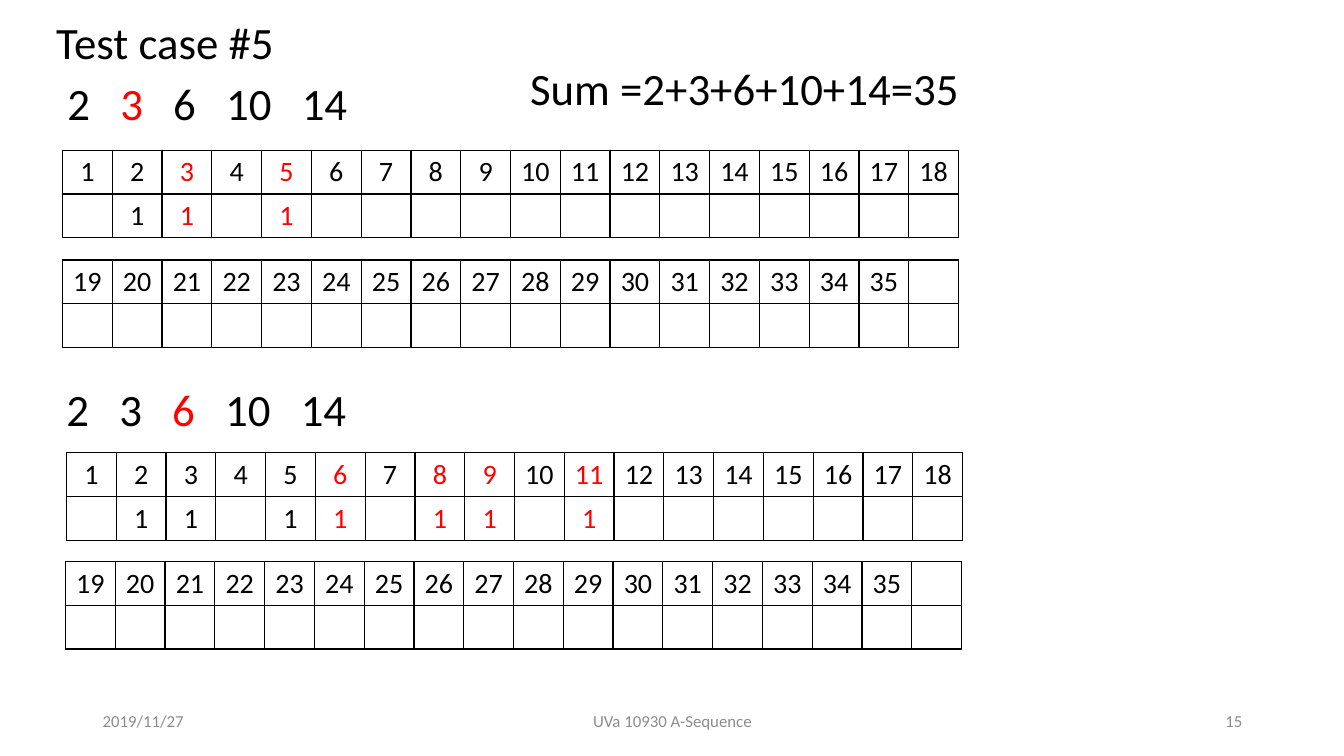
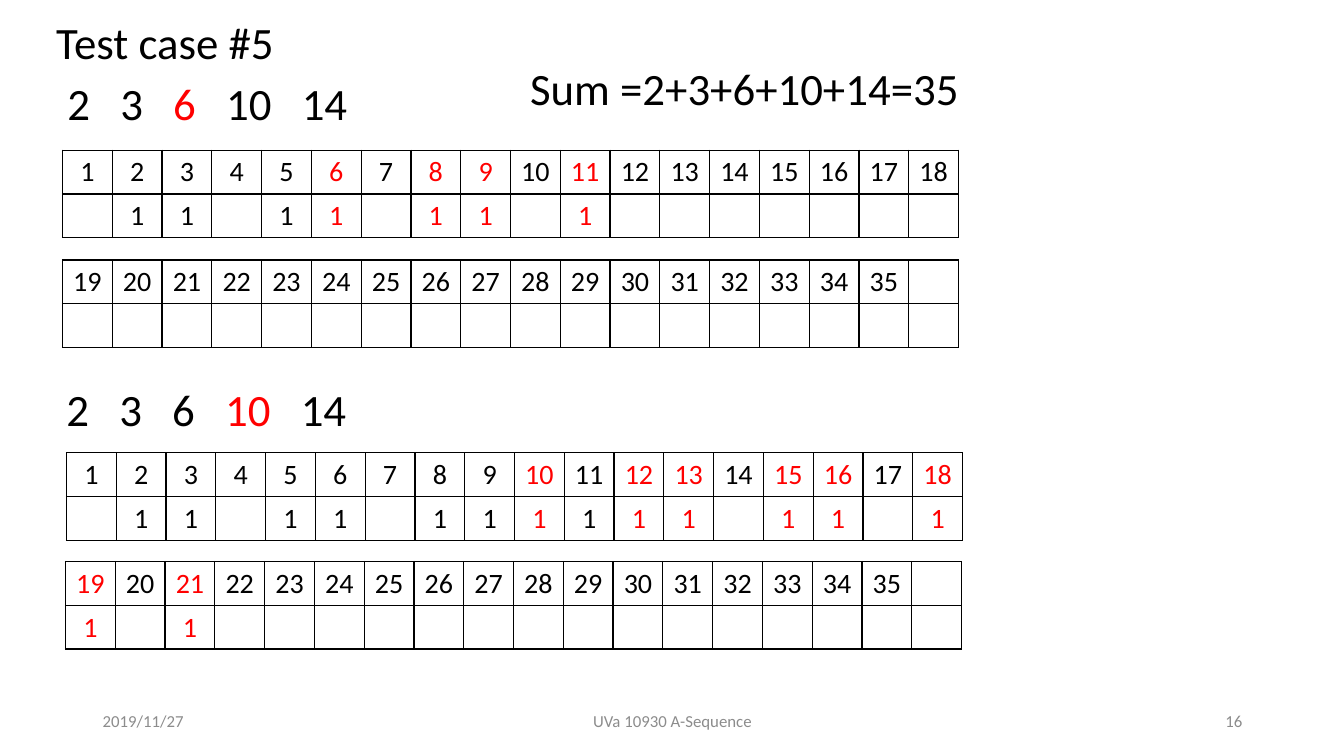
from dataclasses import dataclass

from lxml.etree import SubElement
from pptx import Presentation
from pptx.dml.color import RGBColor
from pptx.enum.text import MSO_ANCHOR as Anchor, PP_ALIGN as Align
from pptx.oxml import parse_xml
from pptx.oxml.ns import nsdecls, qn
from pptx.slide import Slide
from pptx.text.text import _Paragraph as Paragraph
from pptx.util import Inches, Pt

COLORS = {"text": "000000", "new": "FF0000", "footer": "8C8C8C", "border": "000000"}
FONT = "Calibri"
BIG, CELL, SMALL = 32, 20, 12

# The sequence and its sum drive every table
TERMS = [2, 3, 6, 10, 14]
TOTAL = sum(TERMS)
COLS = 18
TABLE_W, TABLE_H = 8.89, 0.87
DIGIT_W, TERM_GAP = 0.225, 0.3


@dataclass
class Box:
    left: float
    top: float
    width: float
    height: float


@dataclass
class Footer:
    box: Box
    text: str
    align: Align


@dataclass
class Panel:
    """Places of one step: the sequence, then two tables."""
    sequence: Box
    tables: list[tuple[float, float]]


@dataclass
class Page:
    number: int
    steps: tuple[int, int]  # index of the current term in each panel


TITLE = Box(0.46, 0.1, 2.43, 0.64)
SUM = Box(5.16, 0.55, 4.5, 0.64)
PANELS = [
    Panel(Box(0.57, 0.7, 3.2, 0.64), [(0.62, 1.49), (0.62, 2.58)]),
    Panel(Box(0.56, 3.74, 3.2, 0.64), [(0.66, 4.49), (0.65, 5.57)]),
]
PAGES = [Page(15, (1, 2)), Page(16, (2, 3))]


def add_run(p: Paragraph, text: str, size: int, color: str = "text") -> None:
    r = p.add_run()
    r.text = text
    r.font.name = FONT
    r.font.size = Pt(size)
    r.font.color.rgb = RGBColor.from_string(COLORS[color])


def add_box(s: Slide, box: Box, align: Align = Align.LEFT,
            anchor: Anchor = Anchor.TOP) -> Paragraph:
    sp = s.shapes.add_textbox(Inches(box.left), Inches(box.top),
                              Inches(box.width), Inches(box.height))
    tf = sp.text_frame
    tf.word_wrap = True
    tf.vertical_anchor = anchor
    p = tf.paragraphs[0]
    p.alignment = align
    return p


def add_sequence(s: Slide, box: Box, step: int) -> None:
    """Write the terms at tab stops, with the current one highlighted."""
    p = add_box(s, box)
    tabs = SubElement(p._p.get_or_add_pPr(), qn("a:tabLst"))
    pos = 0.0
    for term in TERMS[:-1]:
        pos += DIGIT_W * len(str(term)) + TERM_GAP
        SubElement(tabs, qn("a:tab"), pos=str(Inches(pos)), algn="l")
    for i, term in enumerate(TERMS):
        if i:
            add_run(p, "\t", BIG)
        add_run(p, str(term), BIG, "new" if i == step else "text")


def subset_sums(terms: list[int]) -> set[int]:
    sums = {0}
    for term in terms:
        sums |= {total + term for total in sums}
    return sums - {0}


def set_borders(cell) -> None:
    tc_pr = cell._tc.get_or_add_tcPr()
    for i, side in enumerate(("lnL", "lnR", "lnT", "lnB")):
        tc_pr.insert(i, parse_xml(
            f'<a:{side} {nsdecls("a")} w="{Pt(1)}"><a:solidFill>'
            f'<a:srgbClr val="{COLORS["border"]}"/></a:solidFill></a:{side}>'))


def add_number_table(s: Slide, left: float, top: float, first: int, step: int) -> None:
    """Number a row of sums and mark those reached so far."""
    tbl = s.shapes.add_table(2, COLS, Inches(left), Inches(top),
                             Inches(TABLE_W), Inches(TABLE_H)).table
    tbl.first_row = tbl.horz_banding = False
    before = subset_sums(TERMS[:step])
    reached = subset_sums(TERMS[:step + 1])
    for col in range(COLS):
        tbl.columns[col].width = Inches(TABLE_W / COLS)
        number = first + col
        color = "new" if number in reached - before else "text"
        texts = (str(number) if number <= TOTAL else "",
                 "1" if number in reached else "")
        for row, text in enumerate(texts):
            cell = tbl.cell(row, col)
            cell.fill.background()
            set_borders(cell)
            p = cell.text_frame.paragraphs[0]
            p.alignment = Align.CENTER
            if text:
                add_run(p, text, CELL, color)


def add_footers(s: Slide, number: int) -> None:
    for footer in (
        Footer(Box(0.92, 6.95, 3, 0.4), "2019/11/27", Align.LEFT),
        Footer(Box(4.42, 6.95, 4.5, 0.4), "UVa 10930 A-Sequence", Align.CENTER),
        Footer(Box(9.42, 6.95, 3, 0.4), str(number), Align.RIGHT),
    ):
        p = add_box(s, footer.box, footer.align, Anchor.MIDDLE)
        add_run(p, footer.text, SMALL, "footer")


def add_page(prs: Presentation, page: Page) -> None:
    s = prs.slides.add_slide(prs.slide_layouts[6])
    add_footers(s, page.number)

    # Heading
    add_run(add_box(s, TITLE), "Test case #5", BIG)
    add_run(add_box(s, SUM), f"Sum ={'+'.join(map(str, TERMS))}={TOTAL}", BIG)

    # Two consecutive steps
    for panel, step in zip(PANELS, page.steps):
        add_sequence(s, panel.sequence, step)
        for i, (left, top) in enumerate(panel.tables):
            add_number_table(s, left, top, 1 + i * COLS, step)


def main() -> None:
    prs = Presentation()
    prs.slide_width, prs.slide_height = Inches(13.33), Inches(7.5)
    for page in PAGES:
        add_page(prs, page)
    prs.save("out.pptx")


if __name__ == "__main__":
    main()
